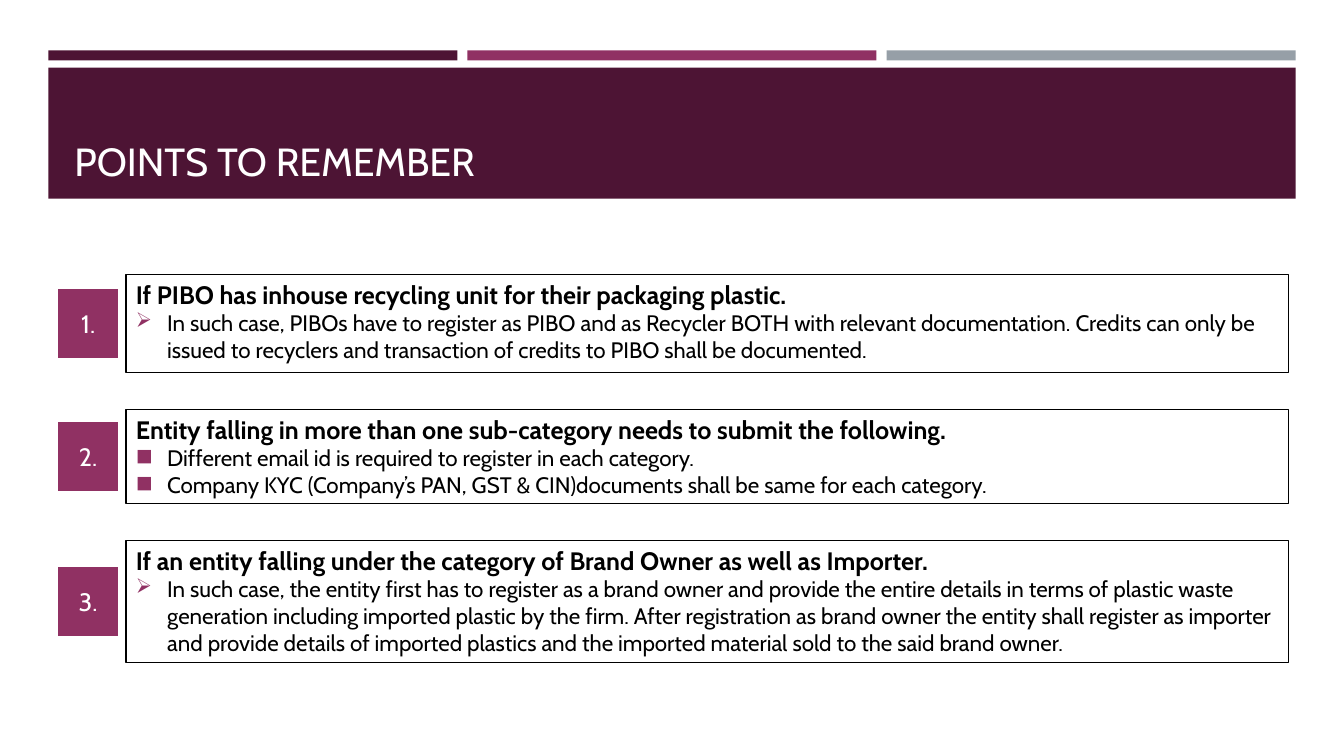
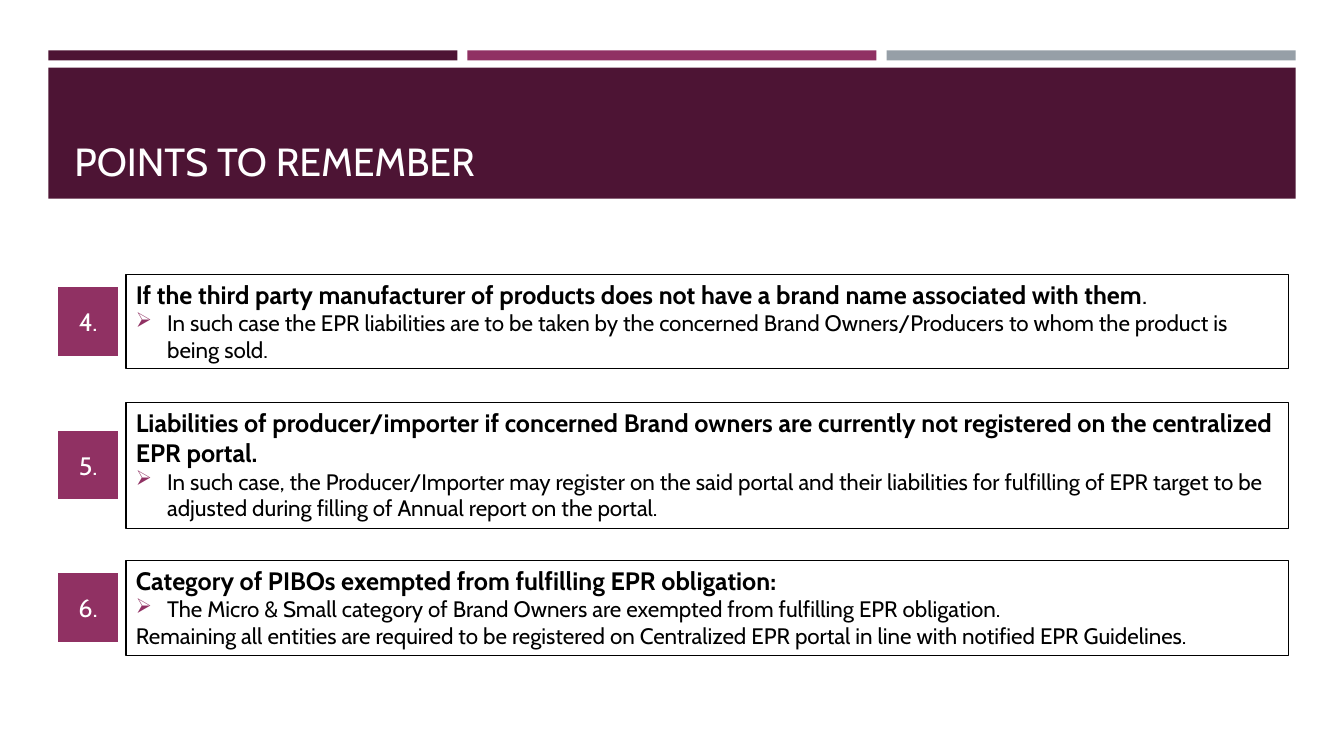
from dataclasses import dataclass

from lxml.etree import SubElement
from pptx import Presentation
from pptx.dml.color import RGBColor
from pptx.enum.shapes import MSO_SHAPE
from pptx.enum.text import MSO_ANCHOR, PP_ALIGN
from pptx.oxml.ns import qn
from pptx.util import Inches, Pt


@dataclass(frozen=True)
class Theme:
    font: str = "Cabin"
    dark: str = "4D1434"
    accent: str = "903163"
    grey: str = "969FA7"
    white: str = "FFFFFF"
    black: str = "000000"
    title_size: int = 28
    heading_size: int = 18
    body_size: int = 16
    bullet_percent: int = 92


@dataclass(frozen=True)
class Bullet:
    character: str
    font: str = ""


@dataclass(frozen=True)
class Line:
    text: str
    bullet: Bullet | None = None


@dataclass(frozen=True)
class Point:
    top: float
    height: float
    heading: str
    lines: tuple
    heading_end: str = ""  # closing part of the heading in regular weight


THEME = Theme()
ARROW = Bullet("Ø", "Wingdings")  # this symbol font draws the letter as an arrowhead
SQUARE = Bullet("◼")
TITLE = "POINTS TO REMEMBER"
POINT_LEFT, POINT_WIDTH = 0.56, 12.22
BADGE_WIDTH, BADGE_HEIGHT, BADGE_GAP = 0.63, 0.71, 0.06
BULLET_INDENT = 0.31

SLIDES = (
    (
        Point(2.72, 0.98, "If PIBO has inhouse recycling unit for their packaging plastic.", (
            Line("In such case, PIBOs have to register as PIBO and as Recycler BOTH with relevant "
                 "documentation. Credits can only be issued to recyclers and transaction of "
                 "credits to PIBO shall be documented.", ARROW),
        )),
        Point(4.06, 0.94, "Entity falling in more than one sub-category needs to submit the following.", (
            Line("Different email id is required to register in each category.", SQUARE),
            Line("Company KYC (Company’s PAN, GST & CIN)documents shall be same for each category.",
                 SQUARE),
        )),
        Point(5.36, 1.21, "If an entity falling under the category of Brand Owner as well as Importer.", (
            Line("In such case, the entity first has to register as a brand owner and provide the "
                 "entire details in terms of plastic waste generation including imported plastic "
                 "by the firm. After registration as brand owner the entity shall register as "
                 "importer and provide details of imported plastics and the imported material "
                 "sold to the said brand owner.", ARROW),
        )),
    ),
    (
        Point(2.72, 0.94, "If the third party manufacturer of products does not have a brand name "
              "associated with them", (
            Line("In such case the EPR liabilities are to be taken by the concerned Brand "
                 "Owners/Producers to whom the product is being sold.", ARROW),
        ), heading_end="."),
        Point(3.99, 1.25, "Liabilities of producer/importer if concerned Brand owners are currently "
              "not registered on the centralized EPR portal.", (
            Line("In such case, the Producer/Importer may register on the said portal and their "
                 "liabilities for fulfilling of EPR target to be adjusted during filling of "
                 "Annual report on the portal.", ARROW),
        )),
        Point(5.56, 0.94, "Category of PIBOs exempted from fulfilling EPR obligation:", (
            Line("The Micro & Small category of Brand Owners are exempted from fulfilling EPR "
                 "obligation.", ARROW),
            Line("Remaining all entities are required to be registered on Centralized EPR portal "
                 "in line with notified EPR Guidelines."),
        )),
    ),
)


def color(value):
    return RGBColor.from_string(value)


def add_rectangle(slide, left, top, width, height, fill=None, line=None, line_width=0.75):
    shape = slide.shapes.add_shape(
        MSO_SHAPE.RECTANGLE, Inches(left), Inches(top), Inches(width), Inches(height))
    shape.shadow.inherit = False
    if fill:
        shape.fill.solid()
        shape.fill.fore_color.rgb = color(fill)
    else:
        shape.fill.background()
    if line:
        shape.line.color.rgb = color(line)
        shape.line.width = Pt(line_width)
    else:
        shape.line.fill.background()
    shape.text_frame.word_wrap = True
    return shape


def style(paragraph, size, text_color, bold=False, align=PP_ALIGN.LEFT):
    paragraph.alignment = align
    font = paragraph.font
    font.name, font.size, font.bold = THEME.font, Pt(size), bold
    font.color.rgb = color(text_color)


def add_bullet(paragraph, bullet):
    properties = paragraph._p.get_or_add_pPr()
    properties.set("marL", str(Inches(BULLET_INDENT)))
    properties.set("indent", str(-Inches(BULLET_INDENT)))
    bullet_color = SubElement(properties, qn("a:buClr"))
    SubElement(bullet_color, qn("a:srgbClr"), val=THEME.accent)
    SubElement(properties, qn("a:buSzPct"), val=str(THEME.bullet_percent * 1000))
    if bullet.font:
        SubElement(properties, qn("a:buFont"), typeface=bullet.font, charset="2")
    SubElement(properties, qn("a:buChar"), char=bullet.character)


def add_header(slide, left, top, width):
    # Three thin bands across the top
    gap = 0.1
    band_width = (width - 2 * gap) / 3
    for index, fill in enumerate((THEME.dark, THEME.accent, THEME.grey)):
        add_rectangle(slide, left + index * (band_width + gap), top, band_width, 0.1, fill)
    # Title panel
    add_rectangle(slide, left, top + 0.17, width, 1.3, THEME.dark)
    title = slide.shapes.add_textbox(
        Inches(left + 0.16), Inches(top + 0.27), Inches(width - 0.3), Inches(1.11))
    frame = title.text_frame
    frame.word_wrap = True
    frame.vertical_anchor = MSO_ANCHOR.BOTTOM
    frame.text = TITLE
    style(frame.paragraphs[0], THEME.title_size, THEME.white)


def add_point(slide, point, number, left, width):
    # Outlined text box
    offset = BADGE_WIDTH + BADGE_GAP
    box = add_rectangle(slide, left + offset, point.top, width - offset, point.height,
                        line=THEME.black)
    frame = box.text_frame
    frame.vertical_anchor = MSO_ANCHOR.TOP
    heading = frame.paragraphs[0]
    heading.add_run().text = point.heading
    if point.heading_end:
        ending = heading.add_run()
        ending.text = point.heading_end
        ending.font.bold = False
    style(heading, THEME.heading_size, THEME.black, bold=True)
    for line in point.lines:
        paragraph = frame.add_paragraph()
        paragraph.text = line.text
        if line.bullet:
            add_bullet(paragraph, line.bullet)
        style(paragraph, THEME.body_size, THEME.black)

    # Number badge, centred on the height of the box
    badge_top = point.top + (point.height - BADGE_HEIGHT) / 2
    badge = add_rectangle(slide, left, badge_top, BADGE_WIDTH, BADGE_HEIGHT,
                          THEME.accent, THEME.white, 2)
    badge.text_frame.vertical_anchor = MSO_ANCHOR.MIDDLE
    badge.text_frame.text = f"{number}."
    style(badge.text_frame.paragraphs[0], THEME.heading_size, THEME.white,
          align=PP_ALIGN.CENTER)


def add_points_slide(presentation, points, first_number):
    slide = presentation.slides.add_slide(presentation.slide_layouts[6])
    add_header(slide, 0.48, 0.5, 12.37)
    for number, point in enumerate(points, first_number):
        add_point(slide, point, number, POINT_LEFT, POINT_WIDTH)


def main():
    presentation = Presentation()
    presentation.slide_width = Inches(13.33)
    presentation.slide_height = Inches(7.5)
    first_number = 1
    for points in SLIDES:
        add_points_slide(presentation, points, first_number)
        first_number += len(points)
    presentation.save("out.pptx")


if __name__ == "__main__":
    main()
